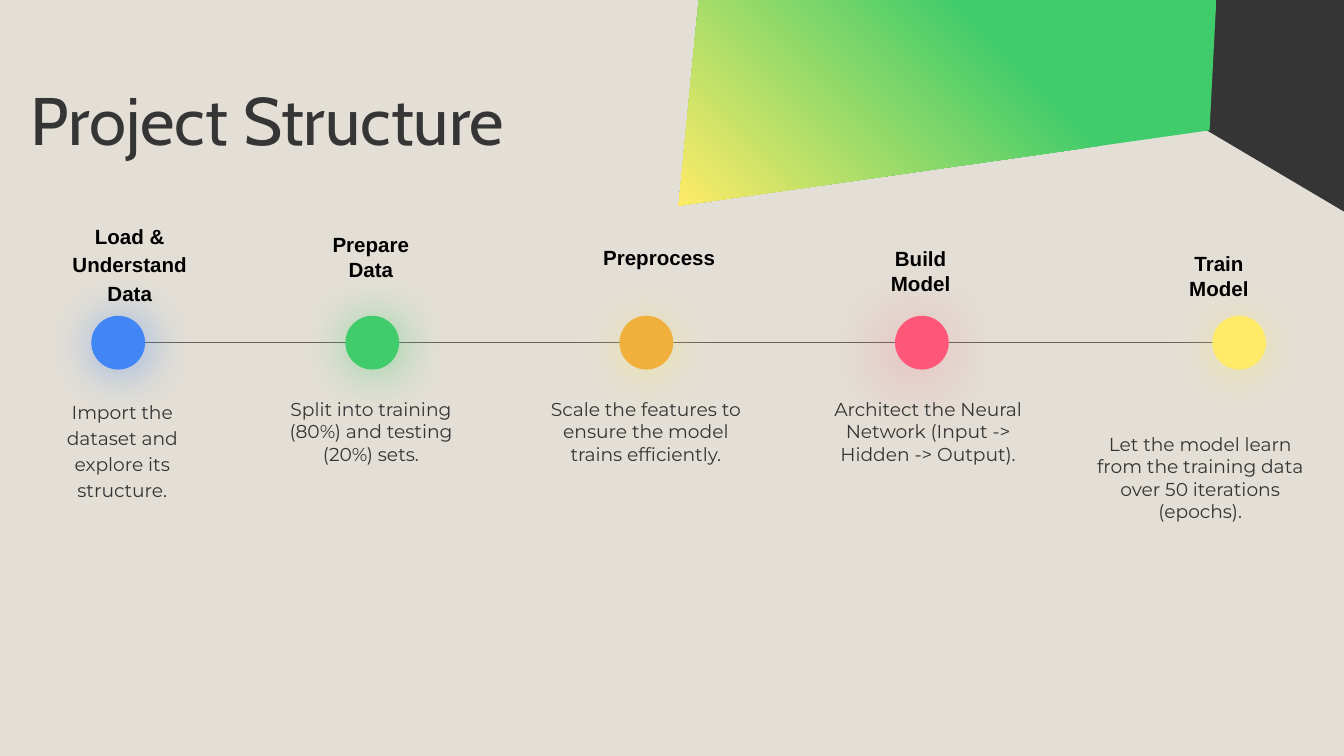
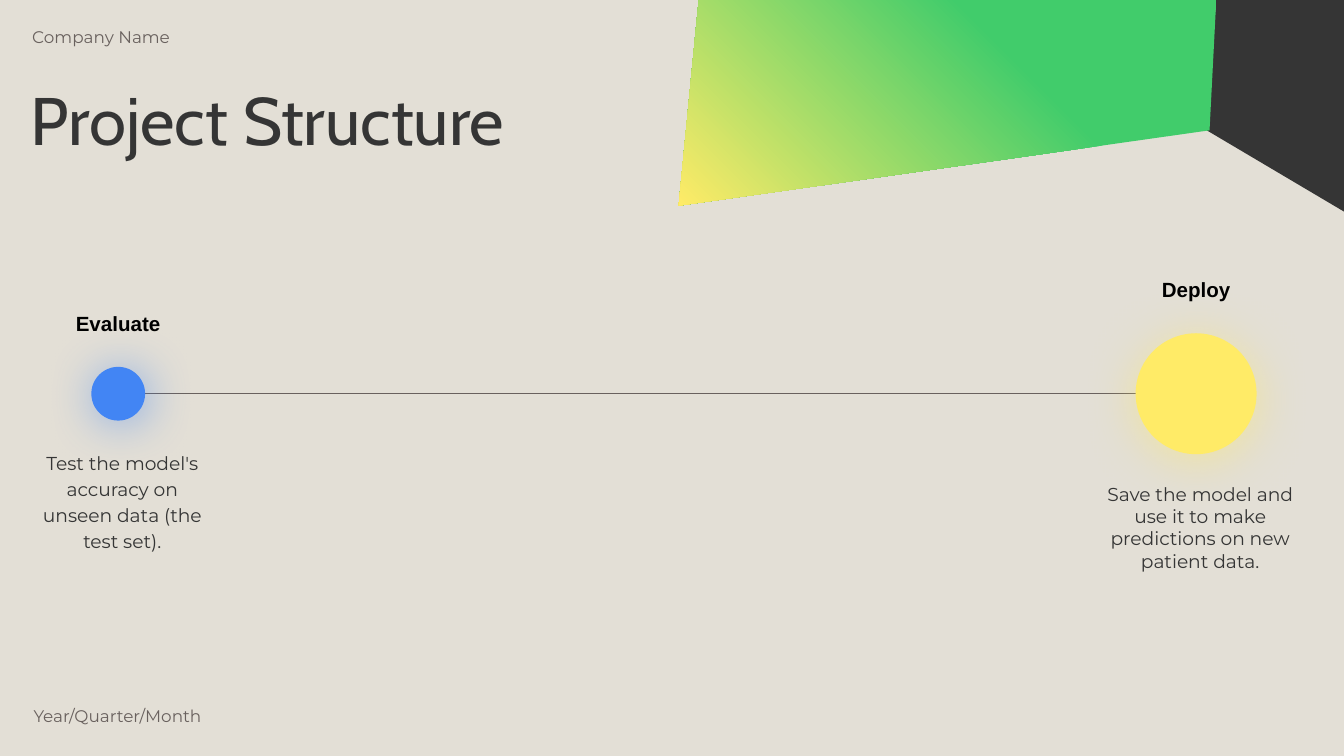
"""Build two project timeline slides with a shared frame, title and step style."""
from dataclasses import dataclass

from lxml import etree
from pptx import Presentation
from pptx.dml.color import RGBColor
from pptx.enum.shapes import MSO_CONNECTOR as CONN, MSO_SHAPE as SHAPE
from pptx.enum.text import MSO_ANCHOR as ANCHOR, MSO_AUTO_SIZE as AUTO, PP_ALIGN as ALIGN
from pptx.oxml import parse_xml
from pptx.oxml.ns import nsdecls, qn
from pptx.util import Inches, Pt

COLORS = {
    "paper": "E3DFD6", "ink": "353535", "muted": "69615E", "black": "000000",
    "green": "41CC6B", "amber": "F0B03B", "blue": "4285F4", "pink": "FF5777",
    "yellow": "FFEB67",
}
DARK_BAND = [(8.98, 0.97), (10.01, 1.58), (10.01, -0.01), (9.05, -0.01)]
GREEN_BAND = [(5.2, -0.01), (5.05, 1.53), (9, 0.97), (9.05, 0)]
GRADIENT = [(0, "green"), (35, "green"), (100, "yellow")]
LINE_LEFT, LINE_RIGHT = 0.75, 9.15


@dataclass(frozen=True)
class Style:
    font: str
    size: float
    color: str
    bold: bool = False
    align: ALIGN = ALIGN.LEFT


@dataclass(frozen=True)
class Box:
    left: float
    top: float
    width: float
    height: float


@dataclass(frozen=True)
class Glow:
    color: str
    alpha: int
    blur: float
    distance: float
    angle: int


@dataclass(frozen=True)
class Step:
    label: str
    text: str
    color: str
    glow: Glow
    center: float
    label_box: Box
    text_box: Box
    size: float = 0.4
    label_spacing: float = 1.0
    text_spacing: float = 1.0


TITLE = Style("Cabin", 36, "ink")
LABEL = Style("Arial", 11, "black", True, ALIGN.CENTER)
BODY = Style("Montserrat", 10, "ink", align=ALIGN.CENTER)
CAPTION = Style("Montserrat", 9, "muted")

BLUE_GLOW = Glow("blue", 56, 25.9, 2.2, 45)
GREEN_GLOW = Glow("green", 56, 25.9, 2.2, 45)
PINK_GLOW = Glow("pink", 50, 38.2, 6, 130)
YELLOW_GLOW = Glow("yellow", 50, 27, 3, 90)

BUILD_STEPS = [
    Step("Load & Understand Data", "Import the dataset and explore its structure.",
         "blue", BLUE_GLOW, 0.88, Box(0.37, 1.54, 1.19, 0.4), Box(0.16, 2.86, 1.5, 1.16),
         label_spacing=1.15, text_spacing=1.15),
    Step("Prepare Data", "Split into training (80%) and testing (20%) sets.",
         "green", GREEN_GLOW, 2.77, Box(2.31, 1.63, 0.9, 0.4), Box(2.01, 2.86, 1.5, 1.16)),
    Step("Preprocess", "Scale the features to ensure the model trains efficiently.",
         "amber", YELLOW_GLOW, 4.81, Box(4.36, 1.73, 1.09, 0.3), Box(3.94, 2.86, 1.73, 1.16)),
    Step("Build Model", "Architect the Neural Network (Input -> Hidden -> Output).",
         "pink", PINK_GLOW, 6.86, Box(6.4, 1.73, 0.9, 0.4), Box(6.09, 2.86, 1.63, 1.16)),
    Step("Train Model",
         "Let the model learn from the training data over 50 iterations (epochs).",
         "yellow", YELLOW_GLOW, 9.22, Box(8.62, 1.77, 0.9, 0.4), Box(8.03, 3.12, 1.8, 1.57)),
]
RELEASE_STEPS = [
    Step("Evaluate", "Test the model's accuracy on unseen data (the test set).",
         "blue", BLUE_GLOW, 0.88, Box(0.43, 2.22, 0.9, 0.4), Box(0.16, 3.24, 1.5, 1.16),
         text_spacing=1.15),
    Step("Deploy", "Save the model and use it to make predictions on new patient data.",
         "yellow", YELLOW_GLOW, 8.9, Box(8.45, 1.97, 0.9, 0.4), Box(8.03, 3.49, 1.8, 1.57),
         size=0.9),
]


def rgb(name: str) -> RGBColor:
    """Look up a palette colour."""
    return RGBColor.from_string(COLORS[name])


def paint(sp, color: str) -> None:
    """Give a shape a flat fill without outline or theme shadow."""
    sp.shadow.inherit = False
    sp.fill.solid()
    sp.fill.fore_color.rgb = rgb(color)
    sp.line.fill.background()


def add_text(s, text: str, box: Box, style: Style, spacing: float = 1.0,
             inset: float = 0.1, left_inset: float = 0.1):
    """Add a wrapped one-paragraph text box and return its frame."""
    sp = s.shapes.add_textbox(*map(Inches, (box.left, box.top, box.width, box.height)))
    tf = sp.text_frame
    tf.word_wrap = True
    tf.margin_left = Inches(left_inset)
    tf.margin_top = tf.margin_right = tf.margin_bottom = Inches(inset)
    p = tf.paragraphs[0]
    p.alignment = style.align
    p.line_spacing = spacing
    r = p.add_run()
    r.text = text
    r.font.name = style.font
    r.font.size = Pt(style.size)
    r.font.bold = style.bold
    r.font.color.rgb = rgb(style.color)
    return tf


def add_band(s, points: list[tuple[float, float]], color: str):
    """Draw a closed polygon from points in inches."""
    corners = [(Inches(x), Inches(y)) for x, y in points]
    builder = s.shapes.build_freeform(*corners[0], scale=1.0)
    builder.add_line_segments(corners[1:], close=True)
    sp = builder.convert_to_shape()
    paint(sp, color)
    return sp


def set_gradient(sp) -> None:
    """Replace the flat fill with the diagonal gradient."""
    stops = "".join(
        f'<a:gs pos="{pos * 1000}"><a:srgbClr val="{COLORS[name]}"/></a:gs>'
        for pos, name in GRADIENT)
    grad = parse_xml(
        f'<a:gradFill {nsdecls("a")} rotWithShape="1"><a:gsLst>{stops}</a:gsLst>'
        f'<a:lin ang="{135 * 60000}" scaled="0"/></a:gradFill>')
    props = sp._element.spPr
    props.replace(props.find(qn("a:solidFill")), grad)


def set_glow(sp, glow: Glow) -> None:
    """Add a soft coloured shadow to a shape."""
    effects = sp._element.spPr.find(qn("a:effectLst"))
    effects.append(parse_xml(
        f'<a:outerShdw {nsdecls("a")} blurRad="{Pt(glow.blur)}" dist="{Pt(glow.distance)}" '
        f'dir="{glow.angle * 60000}" algn="bl" rotWithShape="0">'
        f'<a:srgbClr val="{COLORS[glow.color]}"><a:alpha val="{glow.alpha * 1000}"/>'
        f'</a:srgbClr></a:outerShdw>'))


def add_timeline(s, y: float, steps: list[Step]) -> None:
    """Draw the line, then each step's dot, label and description."""
    line = s.shapes.add_connector(
        CONN.STRAIGHT, *map(Inches, (LINE_LEFT, y, LINE_RIGHT, y)))
    line.line.color.rgb = rgb("muted")
    line.line.width = Pt(0.75)
    etree.SubElement(line._element.spPr, qn("a:effectLst"))
    for step in steps:
        half = step.size / 2
        dot = s.shapes.add_shape(
            SHAPE.OVAL, *map(Inches, (step.center - half, y - half, step.size, step.size)))
        paint(dot, step.color)
        set_glow(dot, step.glow)
    for step in steps:
        add_text(s, step.label, step.label_box, LABEL, step.label_spacing)
        add_text(s, step.text, step.text_box, BODY, step.text_spacing)


def add_project_slide(prs, y: float, steps: list[Step]):
    """Add a slide with the bands, the title and a timeline."""
    s = prs.slides.add_slide(prs.slide_layouts[6])
    add_band(s, DARK_BAND, "ink")
    set_gradient(add_band(s, GREEN_BAND, "green"))
    add_timeline(s, y, steps)
    tf = add_text(s, "Project Structure", Box(0.13, 0.55, 6.37, 0.75), TITLE, 0.9)
    tf.auto_size = AUTO.SHAPE_TO_FIT_TEXT
    return s


def main() -> None:
    """Build and save the deck."""
    prs = Presentation()
    prs.slide_width = Inches(10)
    prs.slide_height = Inches(10) * 9 // 16
    fill = prs.slide_master.background.fill
    fill.solid()
    fill.fore_color.rgb = rgb("paper")

    add_project_slide(prs, 2.55, BUILD_STEPS)
    s = add_project_slide(prs, 2.93, RELEASE_STEPS)
    add_text(s, "Company Name", Box(0.04, 0.12, 1.73, 0.21), CAPTION, left_inset=0.2)
    tf = add_text(s, "Year/Quarter/Month", Box(0.25, 5.22, 2.12, 0.21), CAPTION,
                  inset=0, left_inset=0)
    tf.vertical_anchor = ANCHOR.MIDDLE
    prs.save("out.pptx")


if __name__ == "__main__":
    main()
